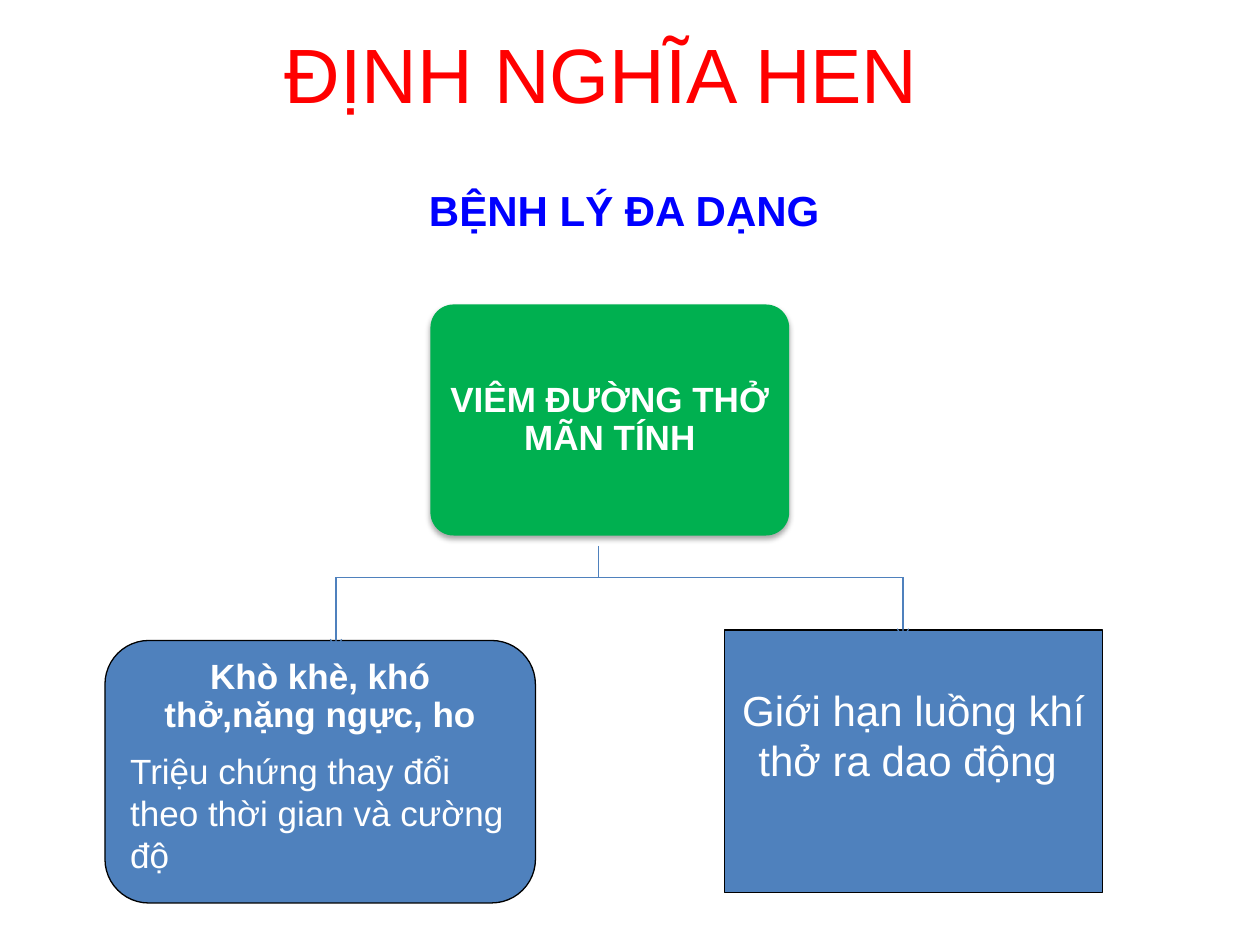
from dataclasses import dataclass

from lxml.etree import SubElement
from pptx import Presentation
from pptx.dml.color import RGBColor
from pptx.enum.shapes import MSO_CONNECTOR, MSO_SHAPE
from pptx.enum.text import MSO_ANCHOR, PP_ALIGN
from pptx.oxml import parse_xml
from pptx.oxml.ns import nsdecls, qn
from pptx.util import Pt


@dataclass(frozen=True)
class Theme:
    font: str = "Arial"
    red: str = "FF0000"
    navy: str = "0000FF"
    green: str = "00B050"
    blue: str = "4F81BD"
    white: str = "FFFFFF"
    black: str = "000000"
    title: int = 44
    heading: int = 24
    body: int = 20


theme = Theme()


def add_run(p, text, size, color, bold=False, align=PP_ALIGN.CENTER):
    p.alignment = align
    r = p.add_run()
    r.text = text
    r.font.name = theme.font
    r.font.size = Pt(size)
    r.font.bold = bold
    r.font.color.rgb = RGBColor.from_string(color)


def add_box(kind, left, top, width, height, fill, outline=None):
    sp = s.shapes.add_shape(kind, Pt(left), Pt(top), Pt(width), Pt(height))
    sp.shadow.inherit = False
    sp.fill.solid()
    sp.fill.fore_color.rgb = RGBColor.from_string(fill)
    if outline:
        sp.line.color.rgb = RGBColor.from_string(outline)
        sp.line.width = Pt(0.75)
    else:
        sp.line.fill.background()
    sp.text_frame.word_wrap = True
    sp.text_frame.vertical_anchor = MSO_ANCHOR.TOP
    return sp


prs = Presentation()
prs.slide_width, prs.slide_height = Pt(720), Pt(540)
s = prs.slides.add_slide(prs.slide_layouts[5])

# Title and heading
title = s.shapes.title
title.left, title.top, title.width, title.height = Pt(62), Pt(5), Pt(576), Pt(73.5)
title.text_frame.vertical_anchor = MSO_ANCHOR.MIDDLE
add_run(title.text_frame.paragraphs[0], "ĐỊNH NGHĨA HEN ", theme.title, theme.red)

heading = s.shapes.add_textbox(Pt(168), Pt(87), Pt(384), Pt(66))
tf = heading.text_frame
tf.word_wrap = True
tf.vertical_anchor = MSO_ANCHOR.MIDDLE
add_run(tf.paragraphs[0], "BỆNH LÝ ĐA DẠNG ", theme.heading, theme.navy, bold=True)

# Inflammation box with a soft shadow
inflammation = add_box(MSO_SHAPE.ROUNDED_RECTANGLE, 246, 174, 205, 132, theme.green)
inflammation.adjustments[0] = 0.1
effects = inflammation._element.spPr.find(qn("a:effectLst"))
effects.append(parse_xml(
    f'<a:outerShdw {nsdecls("a")} blurRad="{Pt(3.1)}" dist="{Pt(1.8)}" dir="5400000" rotWithShape="0">'
    f'<a:srgbClr val="{theme.black}"><a:alpha val="35000"/></a:srgbClr></a:outerShdw>'))
tf = inflammation.text_frame
tf.vertical_anchor = MSO_ANCHOR.MIDDLE
tf.margin_left = tf.margin_right = tf.margin_top = tf.margin_bottom = Pt(5)
p = tf.paragraphs[0]
p.line_spacing = 0.9
add_run(p, "VIÊM ĐƯỜNG THỞ MÃN TÍNH", theme.body, theme.white, bold=True)

# Symptoms box
symptoms = add_box(MSO_SHAPE.ROUNDED_RECTANGLE, 60, 366, 246, 150, theme.blue, theme.black)
tf = symptoms.text_frame
p = tf.paragraphs[0]
p.line_spacing = 0.9
p.space_after = Pt(8)
add_run(p, "Khò khè, khó thở,nặng ngực, ho", theme.body, theme.white, bold=True)
add_run(tf.add_paragraph(), "Triệu chứng thay đổi theo thời gian và cường độ",
        theme.body, theme.white, align=PP_ALIGN.LEFT)

# Airflow box
airflow = add_box(MSO_SHAPE.RECTANGLE, 414, 360, 216, 150, theme.blue, theme.black)
tf = airflow.text_frame
tf.margin_top = Pt(31)
add_run(tf.paragraphs[0], "Giới hạn luồng khí thở ra dao động ", theme.heading, theme.white)

# Branching lines: x1, y1, x2, y2, arrowhead
trunk_x, left_x, right_x, bar_y = 342, 192, 516, 330
for x1, y1, x2, y2, arrow in [
    (trunk_x, 312, trunk_x, bar_y, False),
    (left_x, bar_y, right_x, bar_y, False),
    (left_x, bar_y, left_x, 372, True),
    (right_x, bar_y, right_x, 366, True),
]:
    line = s.shapes.add_connector(MSO_CONNECTOR.STRAIGHT, Pt(x1), Pt(y1), Pt(x2), Pt(y2))
    line.line.color.rgb = RGBColor.from_string(theme.blue)
    line.line.width = Pt(0.75)
    if arrow:
        SubElement(line.line._get_or_add_ln(), qn("a:tailEnd"), type="arrow")
    SubElement(line._element.spPr, qn("a:effectLst"))

prs.save("out.pptx")
